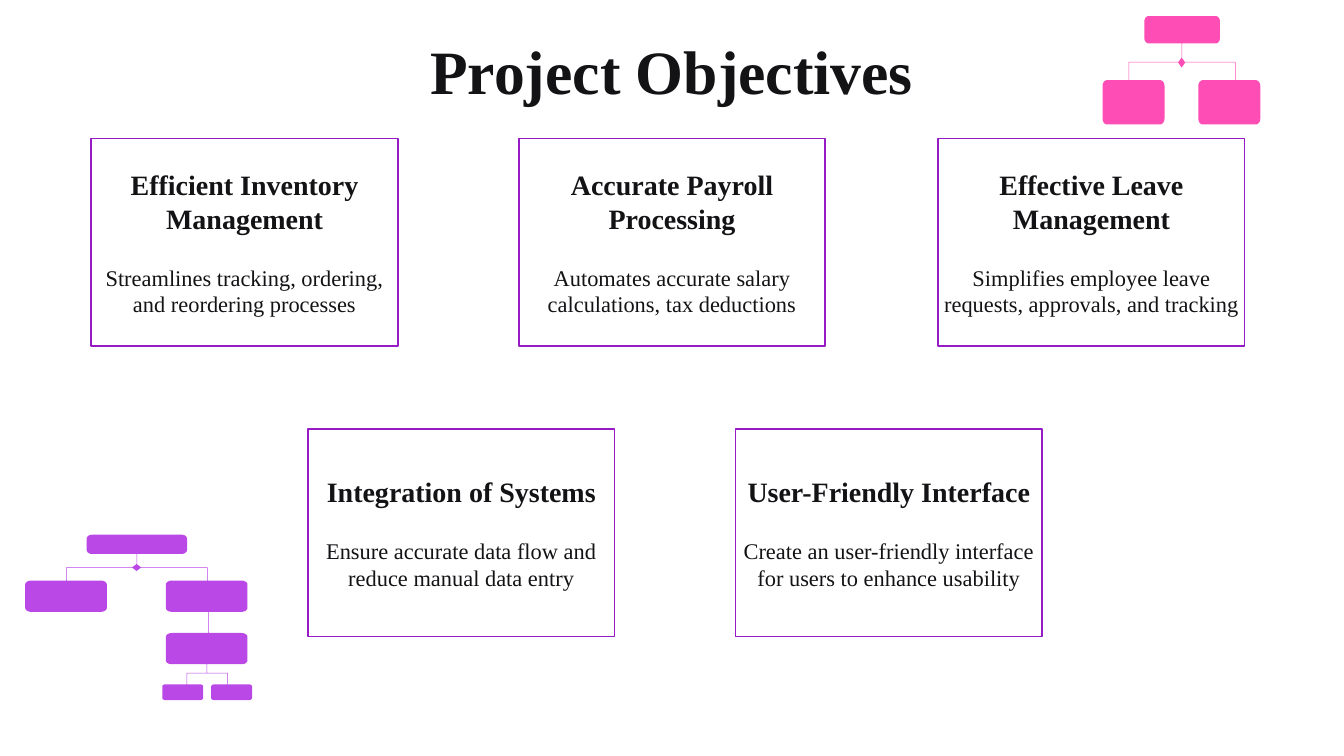
from dataclasses import dataclass
from math import cos, radians, sin

from pptx import Presentation
from pptx.dml.color import RGBColor
from pptx.enum.shapes import MSO_SHAPE
from pptx.enum.text import MSO_ANCHOR, MSO_AUTO_SIZE, PP_ALIGN
from pptx.util import Inches, Pt

RECTANGLE = MSO_SHAPE.RECTANGLE
CENTER = PP_ALIGN.CENTER
MIDDLE = MSO_ANCHOR.MIDDLE
FIT_SHAPE = MSO_AUTO_SIZE.SHAPE_TO_FIT_TEXT


@dataclass(frozen=True)
class Theme:
    font: str = "Times New Roman"
    ink: str = "131316"
    paper: str = "FFFFFF"
    border: str = "961BC7"
    pink: str = "FE4DB5"
    purple: str = "B948E6"
    title_size: float = 88
    heading_size: float = 40
    body_size: float = 32
    body_gap: float = 41.4
    border_width: float = 2.25


# Outlines of the tree parts, as lists of points in inches
def node(left, top, width, height, radius_x, radius_y):
    """Rectangle with rounded corners."""
    right, bottom = left + width, top + height
    corners = [
        (right - radius_x, bottom - radius_y, 0),
        (left + radius_x, bottom - radius_y, 90),
        (left + radius_x, top + radius_y, 180),
        (right - radius_x, top + radius_y, 270),
    ]
    return [
        (x + radius_x * cos(radians(start + turn)), y + radius_y * sin(radians(start + turn)))
        for x, y, start in corners
        for turn in range(0, 91, 15)
    ]


def bar(left, top, right, bottom):
    return [(left, top), (right, top), (right, bottom), (left, bottom)]


def stem(x, top, bottom):
    return bar(x, top, x + 0.01, bottom)


def branch(left, right, y):
    return bar(left, y, right, y + 0.01)


def diamond(left, top, right, bottom):
    x, y = (left + right) / 2, (top + bottom) / 2
    return [(x, top), (right, y), (x, bottom), (left, y)]


class SlideBuilder:
    def __init__(self, slide, theme):
        self.slide = slide
        self.theme = theme

    def color(self, value):
        return RGBColor.from_string(value)

    def set_text(self, para, text, size, bold):
        para.text = text
        para.alignment = CENTER
        for span in para.runs:
            span.font.name = self.theme.font
            span.font.size = Pt(size)
            span.font.bold = bold
            span.font.color.rgb = self.color(self.theme.ink)

    def title(self, text, left, top, width, height):
        box = self.slide.shapes.add_textbox(Inches(left), Inches(top), Inches(width), Inches(height))
        frame = box.text_frame
        frame.word_wrap = True
        frame.auto_size = FIT_SHAPE
        self.set_text(frame.paragraphs[0], text, self.theme.title_size, True)

    def card(self, heading, body, left, top, width, height):
        box = self.slide.shapes.add_shape(
            RECTANGLE, Inches(left), Inches(top), Inches(width), Inches(height))
        box.shadow.inherit = False
        box.fill.solid()
        box.fill.fore_color.rgb = self.color(self.theme.paper)
        box.line.color.rgb = self.color(self.theme.border)
        box.line.width = Pt(self.theme.border_width)
        frame = box.text_frame
        frame.word_wrap = True
        frame.vertical_anchor = MIDDLE
        self.set_text(frame.paragraphs[0], heading, self.theme.heading_size, True)
        para = frame.add_paragraph()
        self.set_text(para, body, self.theme.body_size, False)
        para.space_before = Pt(self.theme.body_gap)

    def tree(self, outlines, fill):
        builder = None
        for outline in outlines:
            start, *rest = [(Inches(x), Inches(y)) for x, y in outline]
            if builder is None:
                builder = self.slide.shapes.build_freeform(*start)
            else:
                builder.move_to(*start)
            builder.add_line_segments(rest, close=True)
        shape = builder.convert_to_shape()
        shape.shadow.inherit = False
        shape.fill.solid()
        shape.fill.fore_color.rgb = self.color(fill)
        shape.line.fill.background()


CARD_WIDTH, CARD_HEIGHT = 6.08, 4.12
CARD_ROWS = [
    (2.75, [
        (1.81, "Efficient Inventory Management",
         "Streamlines tracking, ordering, and reordering processes"),
        (10.29, "Accurate Payroll Processing",
         "Automates accurate salary calculations, tax deductions"),
        (18.61, "Effective Leave Management",
         "Simplifies employee leave requests, approvals, and tracking"),
    ]),
    (8.51, [
        (6.11, "Integration of Systems",
         "Ensure accurate data flow and reduce manual data entry"),
        (14.59, "User-Friendly Interface",
         "Create an user-friendly interface for users to enhance usability"),
    ]),
]

PINK_TREE = [
    node(22.7, 0.32, 1.5, 0.54, 0.08, 0.11),
    stem(23.44, 0.86, 1.14),
    diamond(23.37, 1.14, 23.51, 1.34),
    branch(22.39, 23.37, 1.23),
    branch(23.51, 24.51, 1.23),
    *[stem(x, 1.24, 1.59) for x in (22.39, 24.5)],
    *[node(x, 1.59, 1.23, 0.88, 0.09, 0.12) for x in (21.87, 23.77)],
]

PURPLE_TREE = [
    node(1.72, 10.61, 1.99, 0.38, 0.1, 0.08),
    stem(2.71, 10.99, 11.19),
    diamond(2.62, 11.19, 2.8, 11.33),
    branch(1.31, 2.62, 11.26),
    branch(2.8, 4.12, 11.26),
    *[stem(x, 11.27, 11.52) for x in (1.31, 4.11)],
    *[node(x, y, 1.62, 0.62, 0.12, 0.08)
      for x, y in ((0.5, 11.52), (3.29, 11.52), (3.29, 12.56))],
    stem(4.13, 12.14, 12.56),
    stem(4.1, 13.18, 13.35),
    branch(3.7, 4.52, 13.35),
    *[stem(x, 13.36, 13.58) for x in (3.7, 4.51)],
    *[node(x, 13.58, 0.81, 0.31, 0.06, 0.04) for x in (3.22, 4.19)],
]


def main():
    deck = Presentation()
    deck.slide_width, deck.slide_height = Inches(26.66), Inches(15)
    theme = Theme()
    page = SlideBuilder(deck.slides.add_slide(deck.slide_layouts[6]), theme)

    # Title
    page.title("Project Objectives", 1.66, 0.61, 23.33, 1.58)

    # Objective cards
    for top, cards in CARD_ROWS:
        for left, heading, body in cards:
            page.card(heading, body, left, top, CARD_WIDTH, CARD_HEIGHT)

    # Decorative trees
    page.tree(PINK_TREE, theme.pink)
    page.tree(PURPLE_TREE, theme.purple)

    deck.save("out.pptx")


if __name__ == "__main__":
    main()
